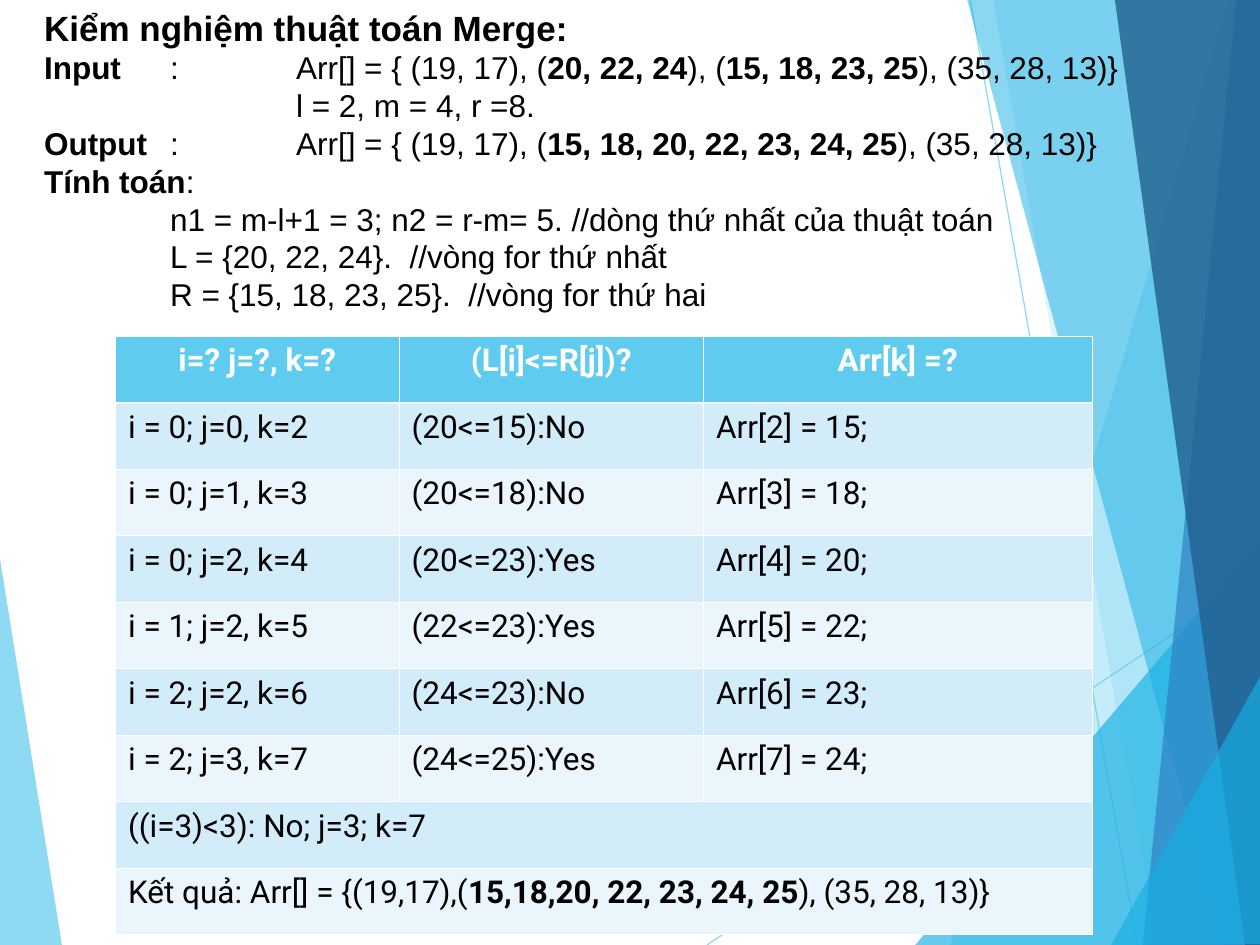
from lxml.etree import SubElement
from pptx import Presentation
from pptx.dml.color import RGBColor
from pptx.enum.shapes import MSO_CONNECTOR
from pptx.enum.text import MSO_ANCHOR, MSO_AUTO_SIZE, PP_ALIGN
from pptx.oxml.ns import qn
from pptx.util import Pt


def paint(fill, color, opacity=100):
    fill.solid()
    fill.fore_color.rgb = RGBColor.from_string(color)
    if opacity < 100:
        color_tag = fill._xPr.find(qn("a:solidFill"))[0]
        SubElement(color_tag, qn("a:alpha"), val=str(opacity * 1000))


def write(paragraph, marked_text, font_name, size, color="000000"):
    """Write the text; parts between ** marks are bold."""
    for index, part in enumerate(marked_text.split("**")):
        if part:
            run = paragraph.add_run()
            run.text = part
            run.font.name = font_name
            run.font.size = Pt(size)
            run.font.bold = index % 2 == 1
            paint(run.font.fill, color)


prs = Presentation()
prs.slide_width, prs.slide_height = Pt(720), Pt(540)
slide = prs.slides.add_slide(prs.slide_layouts[1])
shapes = slide.shapes
heading, example = shapes.title, slide.placeholders[1]

# Background: left wedge, two thin lines, then the bands on the right
bands = [
    ("5FCBEF", 70, [(-0.5, 316), (35.5, 540.5), (-0.5, 540)]),
    ("5FCBEF", 36, [(702, 0), (543, 540), (721, 540.5), (720.5, 0.5)]),
    ("5FCBEF", 20, [(567.5, -0.5), (661.5, 540), (720.5, 540), (720.5, -0.5)]),
    ("17B0E4", 66, [(523, 540), (720, 309), (720.5, 540)]),
    ("17B0E4", 50, [(552.5, -0.5), (698.5, 540), (720.5, 539.5), (720.5, -0.5)]),
    ("2E83C3", 70, [(706.5, -0.5), (653, 540), (720.5, 540), (720, -0.5)]),
    ("236292", 82, [(637, -0.5), (711.5, 540), (721, 540), (720, -0.5)]),
    ("17B0E4", 66, [(635, 540), (721, 385), (721, 539.5)]),
]
thin_lines = [(404, 540, 720.5, 329), (554.5, 0, 650, 540)]

for band_index, (color, opacity, corners) in enumerate(bands):
    points = [(Pt(x), Pt(y)) for x, y in corners]
    outline = shapes.build_freeform(*points[0])
    outline.add_line_segments(points[1:], close=True)
    band = outline.convert_to_shape()
    band.shadow.inherit = False
    paint(band.fill, color, opacity)
    band.line.fill.background()
    if band_index == 0:
        for ends in thin_lines:
            thin_line = shapes.add_connector(MSO_CONNECTOR.STRAIGHT, *map(Pt, ends))
            thin_line.line.width = Pt(0.75)
            paint(thin_line.line.fill, "5FCBEF", 70)
            SubElement(thin_line._element.spPr, qn("a:effectLst"))

# Heading and worked example, in front of the background
example_lines = [
    "**Input \t**: \tArr[] = { (19, 17), (**20, 22, 24**), (**15, 18, 23, 25**), (35, 28, 13)}",
    "\t\tl = 2, m = 4, r =8.",
    "**Output\t**: \tArr[] = { (19, 17), (**15, 18, 20, 22, 23, 24, 25**), (35, 28, 13)}",
    "**Tính toán**: ",
    "\tn1 = m-l+1 = 3; n2 = r-m= 5. //dòng thứ nhất của thuật toán",
    "\tL = {20, 22, 24}.  //vòng for thứ nhất",
    "\tR = {15, 18, 23, 25}.  //vòng for thứ hai",
]
text_parts = [
    (heading, 0, 27.6, 3.6, 20, ["**Kiểm nghiệm thuật toán Merge:**"]),
    (example, 27.6, 155.2, 0, 18, example_lines),
]
for part, top, height, top_inset, size, lines in text_parts:
    shapes._spTree.append(part._element)
    part.left, part.top, part.width, part.height = Pt(18), Pt(top), Pt(684), Pt(height)
    frame = part.text_frame
    frame.word_wrap = True
    frame.auto_size = MSO_AUTO_SIZE.NONE
    frame.vertical_anchor = MSO_ANCHOR.TOP
    frame.margin_left = frame.margin_right = Pt(7.2)
    frame.margin_top, frame.margin_bottom = Pt(top_inset), Pt(0)
    for index, line in enumerate(lines):
        paragraph = frame.paragraphs[0] if index == 0 else frame.add_paragraph()
        write(paragraph, line, "Arial", size)
        paragraph.alignment = PP_ALIGN.JUSTIFY
        paragraph.line_spacing = Pt(size * 1.2)
        paragraph.space_before = paragraph.space_after = Pt(0)
        properties = paragraph._p.get_or_add_pPr()
        properties.set("marL", "0")
        properties.set("indent", "0")
        properties.set("defTabSz", str(Pt(72)))
        SubElement(properties, qn("a:buNone"))
        tab_stops = SubElement(properties, qn("a:tabLst"))
        for stop in range(8):
            SubElement(tab_stops, qn("a:tab"), pos=str(Pt(72 * stop)), algn="l")

# Trace of the merge loop; the last two rows span all columns
trace_rows = [
    ["**i=? j=?, k=?**", "**(L[i]<=R[j])?**", "**Arr[k] =?**"],
    ["i = 0; j=0, k=2", "(20<=15):No", "Arr[2] = 15;"],
    ["i = 0; j=1, k=3", "(20<=18):No", "Arr[3] = 18;"],
    ["i = 0; j=2, k=4", "(20<=23):Yes", "Arr[4] = 20;"],
    ["i = 1; j=2, k=5", "(22<=23):Yes", "Arr[5] = 22;"],
    ["i = 2; j=2, k=6", "(24<=23):No", "Arr[6] = 23;"],
    ["i = 2; j=3, k=7", "(24<=25):Yes", "Arr[7] = 24;"],
    ["((i=3)<3): No; j=3; k=7"],
    ["Kết quả: Arr[] = {(19,17),(**15,18,20, 22, 23, 24, 25**), (35, 28, 13)}"],
]
trace = shapes.add_table(
    len(trace_rows), 3, Pt(66), Pt(192.2), Pt(558), Pt(38 * len(trace_rows))
).table
for column, width in zip(trace.columns, (162, 174, 222)):
    column.width = Pt(width)

for row_index, texts in enumerate(trace_rows):
    is_header = row_index == 0
    row_fill = "5FCBEF" if is_header else ("EAF6FC", "D2ECF9")[row_index % 2]
    heavy_side = {0: "a:lnB", 1: "a:lnT"}.get(row_index)
    for cell in trace.rows[row_index].cells:
        cell_properties = cell._tc.get_or_add_tcPr()
        for side in ("a:lnL", "a:lnR", "a:lnT", "a:lnB"):
            weight = Pt(1.5 if side == heavy_side else 0.5)
            border = SubElement(cell_properties, qn(side), w=str(weight))
            border_fill = SubElement(border, qn("a:solidFill"))
            SubElement(border_fill, qn("a:srgbClr"), val="FFFFFF")
        paint(cell.fill, row_fill)
    if len(texts) == 1:
        trace.cell(row_index, 0).merge(trace.cell(row_index, 2))
    for column_index, text in enumerate(texts):
        paragraph = trace.cell(row_index, column_index).text_frame.paragraphs[0]
        write(paragraph, text, "Roboto", 18, "FFFFFF" if is_header else "000000")
        paragraph.alignment = PP_ALIGN.CENTER if is_header else PP_ALIGN.LEFT

prs.save("out.pptx")
